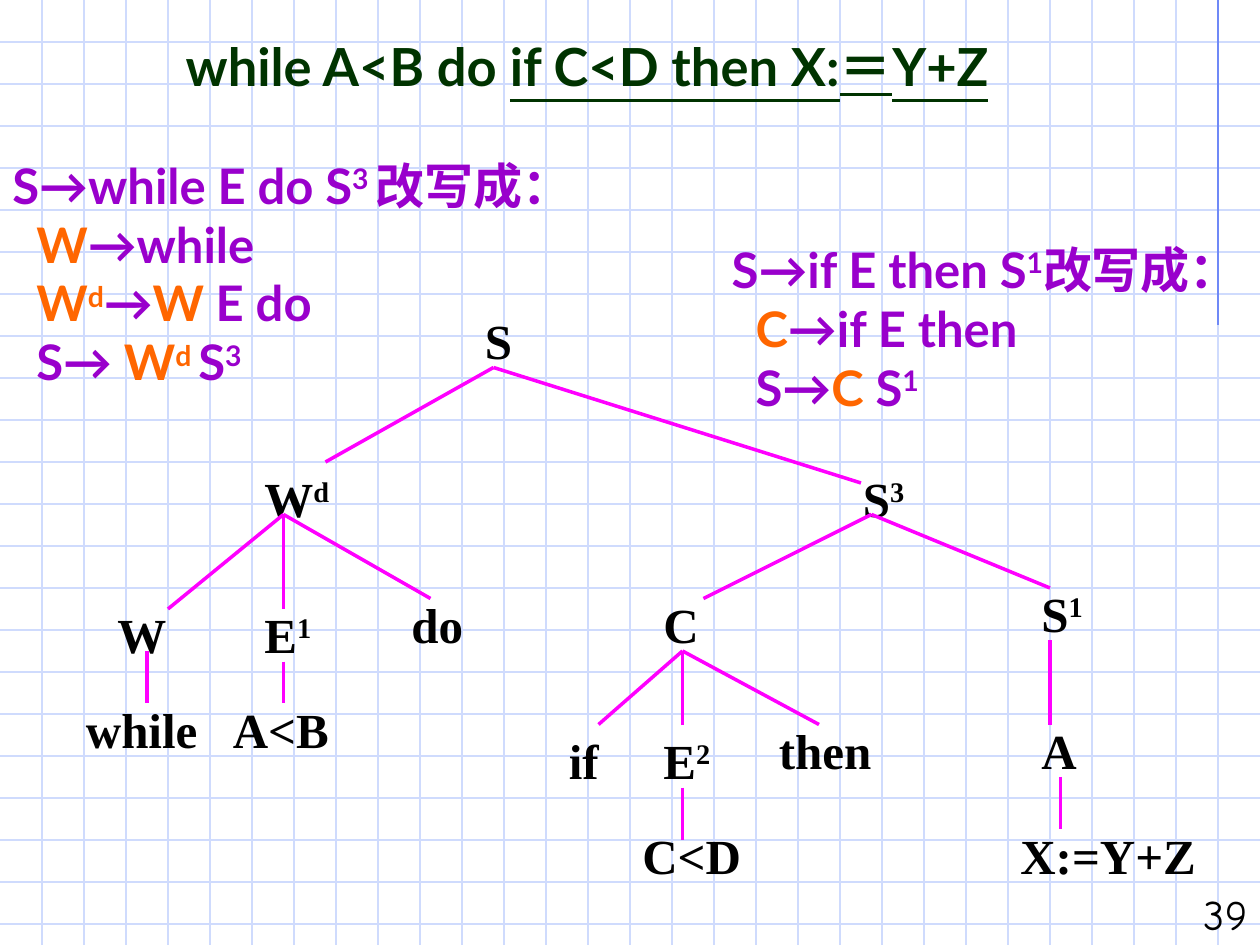
"""Build a slide that rewrites while and if productions over a syntax tree."""
from dataclasses import dataclass
from typing import Any, NamedTuple

from lxml import etree
from pptx import Presentation
from pptx import util as u
from pptx.dml.color import RGBColor
from pptx.enum import shapes, text
from pptx.oxml import ns

WIDTH, HEIGHT = 10, 7.5
UNIT = 1 / 12
CELL = 4
COLUMNS, ROWS = 120, 90
NODE_HEIGHT = 0.57 / UNIT
COLORS = {
    "grid": "CFDBFD", "margin": "6F89F7", "edge": "FF00FF", "black": "000000",
    "rule": "9900CC", "marker": "FF6600", "title": "003300",
}


class Run(NamedTuple):
    text: str
    color: str = "rule"
    raised: bool = False
    underlined: bool = False


class Box(NamedTuple):
    column: float
    row: float
    columns: float
    rows: float


class Edge(NamedTuple):
    start: tuple[int, int]
    end: tuple[int, int]


@dataclass
class Style:
    font: str
    size: int
    bold: bool = True


@dataclass
class Node:
    label: str
    column: int
    row: int
    columns: int
    exponent: str = ""


LATO = Style("Lato", 28)
TITLE = Style("Lato", 30)
TREE = Style("Times New Roman", 28)
NUMBER = Style("Comic Neue", 24, False)

NODES = [
    Node("S", 45, 29, 5),
    Node("W", 24, 44, 9, "d"), Node("S", 81, 44, 7, "3"),
    Node("W", 10, 57, 7), Node("E", 24, 57, 9, "1"), Node("do", 38, 56, 9),
    Node("while", 7, 66, 14), Node("A<B", 21, 66, 13),
    Node("C", 62, 56, 7), Node("S", 98, 55, 7, "1"),
    Node("if", 53, 69, 7), Node("E", 62, 69, 9, "2"), Node("then", 73, 68, 12),
    Node("C<D", 60, 78, 12), Node("A", 98, 68, 7), Node("X:=Y+Z", 96, 78, 20),
]
BRANCHES = {
    (47, 35): [(31, 44), (82, 46)],
    (27, 49): [(16, 58), (27, 58), (41, 57)],
    (83, 49): [(67, 57), (100, 56)],
    (14, 62): [(14, 67)],
    (27, 63): [(27, 67)],
    (65, 62): [(57, 69), (65, 69), (78, 69)],
    (100, 61): [(100, 69)],
    (101, 74): [(101, 79)],
    (65, 75): [(65, 80)],
}
WHILE_RULES = [
    [Run("S→while E do S"), Run("3 ", raised=True), Run("改写成：")],
    [Run("W", "marker"), Run("→while")],
    [Run("W", "marker"), Run("d", "marker", True), Run("→"), Run("W ", "marker"), Run("E do")],
    [Run("S→ "), Run("W", "marker"), Run("d ", "marker", True), Run("S"), Run("3", raised=True)],
]
IF_RULES = [
    [Run("S→if E then S"), Run("1", raised=True), Run("改写成：")],
    [Run("C", "marker"), Run("→if E then")],
    [Run("S→"), Run("C ", "marker"), Run("S"), Run("1", raised=True)],
]
HEADING = [Run("while A<B do ", "title"), Run("if C<D then X:＝Y+Z", "title", underlined=True)]


def length(units: float) -> u.Length:
    """Turn grid units into a length."""
    return u.Inches(units * UNIT)


def add_line(container: Any, edge: Edge, color: str, weight: float) -> None:
    """Draw a straight line without shadow."""
    ends = [length(value) for value in (*edge.start, *edge.end)]
    line = container.add_connector(shapes.MSO_CONNECTOR.STRAIGHT, *ends)
    line.line.color.rgb = RGBColor.from_string(COLORS[color])
    line.line.width = u.Pt(weight)
    etree.SubElement(line._element.spPr, ns.qn("a:effectLst"))


def add_run(paragraph: Any, piece: Run, style: Style) -> None:
    """Append one formatted run."""
    run = paragraph.add_run()
    run.text = piece.text
    font = run.font
    font.name, font.size, font.bold = style.font, u.Pt(style.size), style.bold
    font.color.rgb = RGBColor.from_string(COLORS[piece.color])
    if piece.underlined:
        font.underline = True
    if piece.raised:
        run._r.get_or_add_rPr().set("baseline", "30000")


def add_text(container: Any, box: Box, paragraphs: list[list[Run]], style: Style,
             anchor: Any = text.MSO_ANCHOR.TOP, grow: bool = True) -> list[Any]:
    """Add a wrapping text box and return its paragraphs."""
    frame = container.add_textbox(*map(length, box)).text_frame
    frame.word_wrap = True
    frame.vertical_anchor = anchor
    frame.auto_size = text.MSO_AUTO_SIZE.SHAPE_TO_FIT_TEXT if grow else text.MSO_AUTO_SIZE.NONE
    for index, runs in enumerate(paragraphs):
        paragraph = frame.add_paragraph() if index else frame.paragraphs[0]
        for piece in runs:
            add_run(paragraph, piece, style)
    return list(frame.paragraphs)


def set_indent(paragraph: Any, left: float, first: float) -> None:
    """Set the left margin and first-line indent in inches."""
    properties = paragraph._p.get_or_add_pPr()
    properties.set("marL", str(u.Inches(left)))
    properties.set("indent", str(u.Inches(first)))


def add_rules(container: Any, box: Box, rules: list[list[Run]]) -> None:
    """Add a production with its rewritten, indented productions."""
    first, *rewritten = add_text(container, box, rules, LATO, text.MSO_ANCHOR.BOTTOM)
    set_indent(first, 0.5, -0.5)
    for paragraph in rewritten:
        set_indent(paragraph, 0.19, 0)


def add_grid(container: Any) -> None:
    """Rule the slide like squared paper."""
    for row in range(CELL, ROWS, CELL):
        add_line(container, Edge((0, row), (COLUMNS, row)), "grid", 0.75)
    for column in range(CELL, COLUMNS, CELL):
        add_line(container, Edge((column, 0), (column, ROWS)), "grid", 0.75)


def add_tree(container: Any) -> None:
    """Draw the syntax tree."""
    for node in NODES:
        runs = [Run(node.label, "black")]
        if node.exponent:
            runs.append(Run(node.exponent, "black", True))
        add_text(container, Box(node.column, node.row, node.columns, NODE_HEIGHT), [runs], TREE)
    for parent, children in BRANCHES.items():
        for child in children:
            add_line(container, Edge(parent, child), "edge", 2)


def main() -> None:
    """Build and save the slide."""
    presentation = Presentation()
    presentation.slide_width, presentation.slide_height = u.Inches(WIDTH), u.Inches(HEIGHT)
    slide = presentation.slides.add_slide(presentation.slide_layouts[6])
    add_grid(slide.shapes.add_group_shape().shapes)
    add_line(slide.shapes, Edge((116, 0), (116, 31)), "margin", 0.75)
    number, = add_text(slide.shapes, Box(95, 84, 25, 6), [[Run("39", "black")]], NUMBER,
                       text.MSO_ANCHOR.BOTTOM, False)
    number.alignment = text.PP_ALIGN.RIGHT
    add_tree(slide.shapes.add_group_shape().shapes)
    add_rules(slide.shapes, Box(0, 14.16, 60, 23.64), WHILE_RULES)
    add_rules(slide.shapes, Box(68.5, 22.2, 51.5, 18), IF_RULES)
    heading, = add_text(slide.shapes, Box(16.5, 3.36, 92.64, 5.4), [HEADING], TITLE, grow=False)
    heading.alignment = text.PP_ALIGN.JUSTIFY
    heading.line_spacing = 0.9
    set_indent(heading, 0.38, -0.38)
    presentation.save("out.pptx")


if __name__ == "__main__":
    main()
